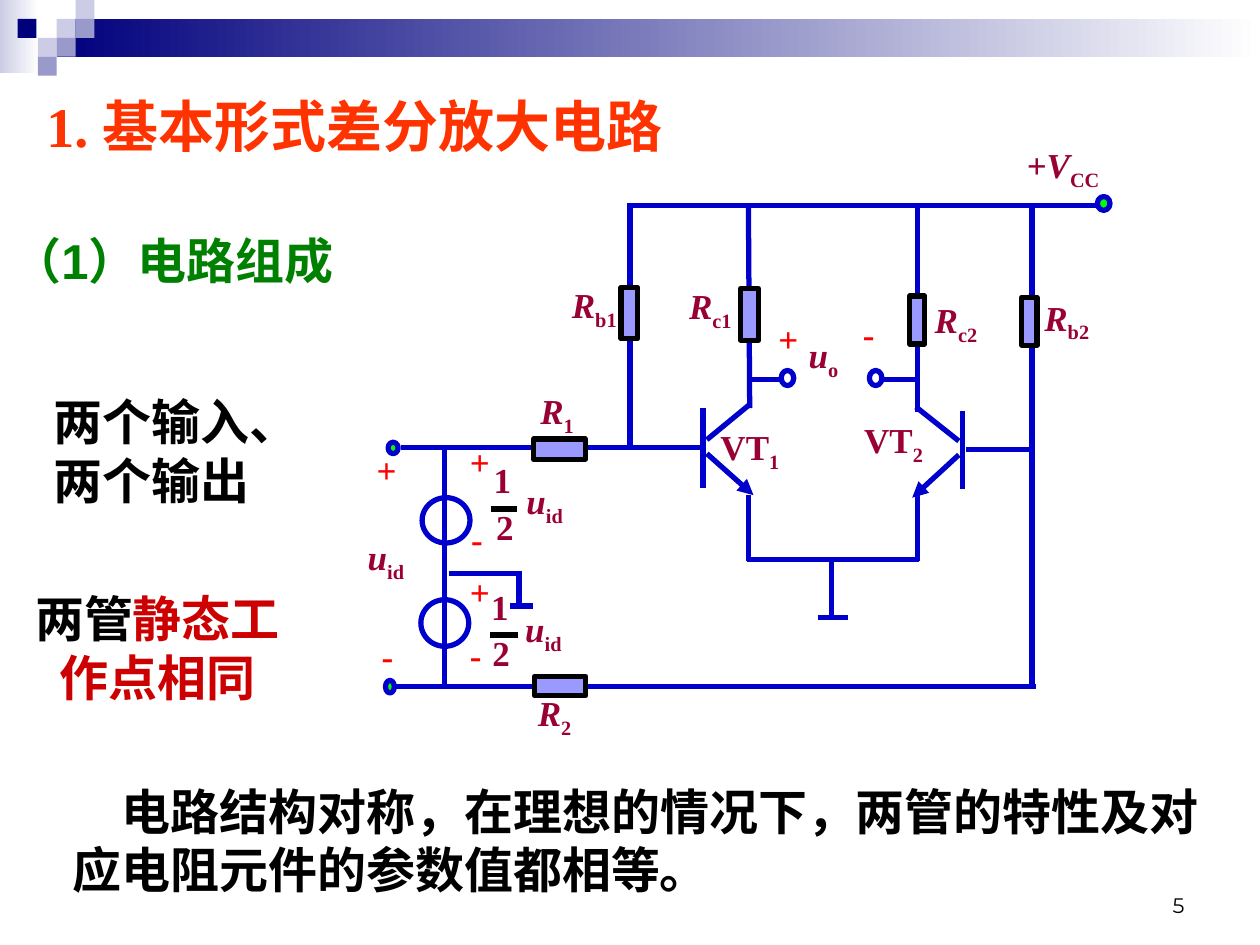
from dataclasses import dataclass
from typing import NamedTuple, Optional

from lxml.etree import SubElement
from pptx import Presentation
from pptx.dml.color import RGBColor
from pptx.enum.shapes import MSO_CONNECTOR, MSO_SHAPE
from pptx.enum.text import MSO_ANCHOR, MSO_AUTO_SIZE, PP_ALIGN
from pptx.oxml.ns import qn
from pptx.util import Inches, Pt


@dataclass(frozen=True)
class Theme:
    navy: str = "00007D"
    lilac: str = "9999CC"
    mist: str = "CCCCE6"
    white: str = "FFFFFF"
    black: str = "000000"
    wire: str = "0000CC"
    resistor: str = "9999FF"
    terminal: str = "00FF00"
    symbol: str = "990033"
    polarity: str = "FF0000"
    title: str = "FF3300"
    section: str = "008000"
    emphasis: str = "CC0000"
    serif: str = "Times New Roman"
    sans: str = "Arial"
    number: str = "Montserrat"
    title_size: int = 32
    body_size: int = 28
    label_size: int = 20
    number_size: int = 12
    stroke: int = 3


class Box(NamedTuple):
    col: float
    row: float
    cols: float
    rows: float


class Wire(NamedTuple):
    col: float
    row: float
    end_col: float
    end_row: float
    arrow: bool = False
    color: str = Theme.wire


class Label(NamedTuple):
    col: float
    row: float
    cols: float
    base: str
    sub: str = ""
    italic: bool = True
    color: str = Theme.symbol


class Run(NamedTuple):
    text: str
    color: str


THEME = Theme()
COLS, ROWS = 100, 75  # grid of the slide; one cell is a tenth of an inch

prs = Presentation()
prs.slide_width, prs.slide_height = Inches(10), Inches(7.5)
slide = prs.slides.add_slide(prs.slide_layouts[6])
shapes = slide.shapes


def across(cols: float) -> int:
    return round(prs.slide_width * cols / COLS)


def down(rows: float) -> int:
    return round(prs.slide_height * rows / ROWS)


def place(box: Box) -> tuple[int, int, int, int]:
    return across(box.col), down(box.row), across(box.cols), down(box.rows)


def draw_shape(kind: MSO_SHAPE, box: Box, fill: Optional[str] = None,
               line: Optional[str] = None, fade_to: Optional[str] = None) -> None:
    shape = shapes.add_shape(kind, *place(box))
    shape.shadow.inherit = False
    if fill and fade_to:
        shape.fill.gradient()
        shape.fill.gradient_angle = 0
        for stop, color in zip(shape.fill.gradient_stops, (fill, fade_to)):
            stop.color.rgb = RGBColor.from_string(color)
    elif fill:
        shape.fill.solid()
        shape.fill.fore_color.rgb = RGBColor.from_string(fill)
    else:
        shape.fill.background()
    if line:
        shape.line.color.rgb = RGBColor.from_string(line)
        shape.line.width = Pt(THEME.stroke)
    else:
        shape.line.fill.background()


def draw_wire(wire: Wire) -> None:
    connector = shapes.add_connector(
        MSO_CONNECTOR.STRAIGHT, across(wire.col), down(wire.row),
        across(wire.end_col), down(wire.end_row))
    connector.line.color.rgb = RGBColor.from_string(wire.color)
    connector.line.width = Pt(THEME.stroke)
    if wire.arrow:
        SubElement(connector.line._get_or_add_ln(), qn("a:tailEnd"), type="triangle")
    SubElement(connector._element.spPr, qn("a:effectLst"))


def add_paragraph_box(box: Box, grow: bool = True):
    frame = shapes.add_textbox(*place(box)).text_frame
    frame.word_wrap = True
    frame.auto_size = MSO_AUTO_SIZE.SHAPE_TO_FIT_TEXT if grow else MSO_AUTO_SIZE.NONE
    return frame.paragraphs[0]


def draw_text(box: Box, runs: list[Run], size: int, font: str = THEME.serif,
              bold: bool = True, align: PP_ALIGN = PP_ALIGN.LEFT,
              grow: bool = True, indent: float = 0):
    paragraph = add_paragraph_box(box, grow)
    paragraph.alignment = align
    if indent:
        paragraph._p.get_or_add_pPr().set("indent", str(across(indent)))
    for part in runs:
        run = paragraph.add_run()
        run.text = part.text
        run.font.color.rgb = RGBColor.from_string(part.color)
    paragraph.font.name, paragraph.font.size, paragraph.font.bold = font, Pt(size), bold
    for run in paragraph.runs:
        run.font.name, run.font.size, run.font.bold = font, Pt(size), bold
    return paragraph


def draw_label(label: Label) -> None:
    runs = [Run(text, label.color) for text in (label.base, label.sub) if text]
    box = Box(label.col, label.row, label.cols, 4.8 if label.sub else 4.4)
    paragraph = draw_text(box, runs, THEME.label_size)
    paragraph.runs[0].font.italic = label.italic
    if label.sub:
        paragraph.runs[1].font._element.set("baseline", "-25000")


# Header band and its checkerboard
draw_shape(MSO_SHAPE.RECTANGLE, Box(0, 0, 3.1, 5.8), THEME.mist, fade_to=THEME.white)
draw_shape(MSO_SHAPE.RECTANGLE, Box(4.5, 1.5, 95.5, 3), THEME.navy, fade_to=THEME.white)
TILE = 1.5
TILES = [(3, 1, THEME.mist), (4, 0, THEME.mist), (4, 1, THEME.lilac), (2, 2, THEME.mist),
         (0.93, 1, THEME.navy), (3, 2, THEME.lilac), (2, 3, THEME.lilac)]
for tile_col, tile_row, tile_color in TILES:
    draw_shape(MSO_SHAPE.RECTANGLE, Box(tile_col * TILE, tile_row * TILE, TILE, TILE), tile_color)

# Wiring
WIRES = [
    # supply rail, input rails and the four branches
    Wire(49.8, 16.3, 87.3, 16.3), Wire(31.8, 35.5, 55.9, 35.5), Wire(31.4, 54.5, 82.2, 54.5),
    Wire(50, 16.3, 50, 35.7), Wire(59.4, 16.3, 59.5, 32.4),
    Wire(72.8, 16.3, 72.8, 32.7), Wire(81.9, 16.2, 81.9, 54.7),
    # left transistor
    Wire(55.8, 32.4, 55.8, 38.7), Wire(56.1, 36, 59.8, 39.3, arrow=True),
    Wire(56.1, 34.9, 59.5, 32.1),
    # right transistor
    Wire(76.4, 32.6, 76.4, 38.8), Wire(76.1, 36.1, 72.4, 39.5, arrow=True),
    Wire(76.1, 35, 72.7, 32.3), Wire(76.7, 35.7, 82.1, 35.7),
    # joined emitters and ground
    Wire(59.4, 39.3, 59.4, 44.5), Wire(72.8, 39.3, 72.8, 44.5), Wire(59.3, 44.4, 72.9, 44.4),
    Wire(66, 44.6, 66, 49), Wire(64.9, 49, 67.3, 49),
    # outputs
    Wire(59.6, 30.1, 62.1, 30.1), Wire(72.8, 30.1, 70, 30.1),
    # sources and their ground
    Wire(35.3, 35.7, 35.3, 54.3), Wire(35.6, 45.5, 41.2, 45.5),
    Wire(41.2, 45.3, 41.2, 48.1), Wire(40.5, 48.1, 42.3, 48.1),
    # fraction bars
    Wire(39, 40.4, 41, 40.4, color=THEME.black), Wire(38.9, 50.4, 41.1, 50.4, color=THEME.black),
]
for wire in WIRES:
    draw_wire(wire)

# Resistors: Rc1, Rc2, Rb1, Rb2, R1, R2
RESISTORS = [Box(58.8, 22.9, 1.4, 4.1), Box(72.2, 23.5, 1.2, 3.8), Box(49.3, 22.8, 1.3, 4.1),
             Box(81.1, 23.6, 1.2, 3.8), Box(42.35, 34.85, 4.1, 1.6), Box(42.4, 53.7, 4.1, 1.5)]
for resistor in RESISTORS:
    draw_shape(MSO_SHAPE.RECTANGLE, resistor, THEME.resistor, THEME.black)

# Filled terminals, then open terminals and sources
for terminal in [Box(30.8, 35.1, 0.8, 0.9), Box(30.6, 54, 0.7, 1), Box(87.1, 15.6, 1, 1.1)]:
    draw_shape(MSO_SHAPE.OVAL, terminal, THEME.terminal, THEME.wire)
for ring in [Box(62, 29.4, 1, 1.2), Box(69, 29.4, 1, 1.2),
             Box(33.4, 47.6, 3.8, 3.7), Box(33.5, 39.5, 3.8, 3.6)]:
    draw_shape(MSO_SHAPE.OVAL, ring, line=THEME.wire)

# Polarity signs
SIGNS = [(60.8, 24.7, "+"), (67.5, 24.3, "-"), (36.3, 44.8, "+"), (36.3, 49.8, "-"),
         (28.9, 35.1, "+"), (29.3, 49.9, "-"), (36.3, 34.5, "+"), (36.4, 40.6, "-")]
for sign_col, sign_row, sign in SIGNS:
    draw_label(Label(sign_col, sign_row, 4.1, sign, italic=False, color=THEME.polarity))

# Circuit symbols
LABELS = [
    Label(63.2, 26, 5.7, "u", "o"), Label(28.2, 42, 6.1, "u", "id"),
    Label(40.8, 37.6, 6.1, "u", "id"), Label(40.7, 47.7, 6.1, "u", "id"),
    Label(38.2, 35.9, 4.4, "1", italic=False), Label(38.4, 39.6, 4.4, "2", italic=False),
    Label(38, 46, 4.9, "1", italic=False), Label(38.1, 49.6, 4.9, "2", italic=False),
    Label(80.5, 10.9, 10.7, "+V", "CC"), Label(41.7, 54.4, 7.3, "R", "2"),
    Label(41.9, 30.4, 6, "R", "1"), Label(44.4, 22, 7.7, "R", "b1"),
    Label(81.9, 23, 7.6, "R", "b2"), Label(53.7, 22.1, 7.9, "R", "c1"),
    Label(73.2, 23.2, 7.7, "R", "c2"), Label(56.2, 33.3, 8.7, "VT", "1", italic=False),
    Label(67.6, 32.7, 9.1, "VT", "2", italic=False),
]
for label in LABELS:
    draw_label(label)

# Headings and explanations
draw_text(Box(2.7, 6.8, 56.9, 6.4), [Run("1. 基本形式差分放大电路", THEME.title)], THEME.title_size)
draw_text(Box(0, 17.8, 40, 7.5), [Run("（1）电路组成", THEME.section)], THEME.body_size,
          THEME.sans, grow=False)
draw_text(Box(3.3, 30.6, 25, 10.4), [Run("两个输入、两个输出", THEME.black)], THEME.body_size)
draw_text(Box(0, 46.2, 25, 10.4),
          [Run("两管", THEME.black), Run("静态工作点相同", THEME.emphasis)],
          THEME.body_size, align=PP_ALIGN.CENTER)
draw_text(Box(4.8, 61.5, 93.3, 10.4),
          [Run("电路结构对称，在理想的情况下，两管的特性及对应电阻元件的参数值都相等。", THEME.black)],
          THEME.body_size, indent=3.9)

# Slide number
page = draw_text(Box(71.7, 68.3, 23.3, 5), [Run("5", THEME.black)], THEME.number_size,
                 THEME.number, bold=False, align=PP_ALIGN.RIGHT, grow=False)
page._parent.vertical_anchor = MSO_ANCHOR.BOTTOM

prs.save("out.pptx")
